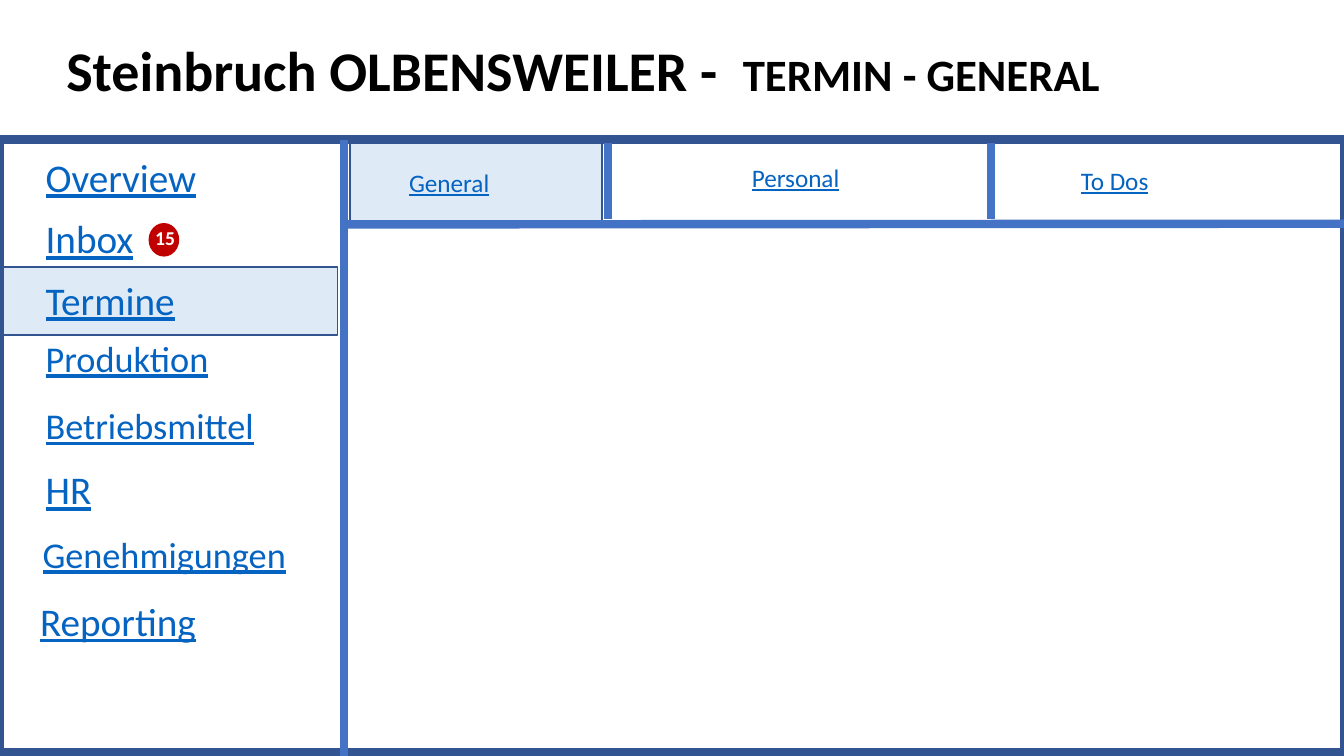
from lxml.etree import SubElement
from pptx import Presentation
from pptx.dml.color import RGBColor
from pptx.enum.shapes import MSO_CONNECTOR, MSO_SHAPE
from pptx.enum.text import MSO_ANCHOR
from pptx.oxml.ns import qn
from pptx.util import Pt

WIDTH, HEIGHT = 960, 540
BLUE, NAVY, PALE, RED = "4472C4", "325491", "DEEBF7", "C00000"
LINK, BLACK, WHITE = "0563C1", "000000", "FFFFFF"

TITLE = [("Steinbruch OLBENSWEILER -  ", 40), ("TERMIN - GENERAL", 32)]
BADGE = "15"
# name, left, top, width, height, size, line spacing
MENU = [
    ("Overview", 25.5, 112.3, 142.6, 36, 28, 0.8),
    ("Inbox", 25.5, 156.2, 142.6, 36, 28, 0.8),
    ("Termine", 25.5, 200.2, 142.6, 36, 28, 0.8),
    ("Produktion", 25.5, 242.6, 142.6, 34.6, 25.9, 0.8),
    ("Betriebsmittel", 25.5, 288.3, 170, 38.9, 25.9, 0.9),
    ("HR", 25.5, 335.5, 142.6, 36, 28, 0.8),
    ("Genehmigungen", 23.3, 380.2, 193.7, 60.5, 25.9, 0.9),
    ("Reporting", 21.6, 427, 170, 38.9, 28, 0.9),
]
TABS = [
    ("General", 285.1, 115.9, 480.2, True),
    ("Personal", 529.9, 112.3, 77.8, False),
    ("To Dos", 764.9, 114.5, 63.4, False),
]
DIVIDERS = [
    (245.8, 99.7, 245.8, HEIGHT),
    (434.2, 156.2, 434.2, 102.2),
    (707.8, 156.2, 707.8, 102.2),
    (WIDTH, 159.8, 245.8, 160.3),
]


def color(code):
    return RGBColor.from_string(code)


def add_panel(page, kind, place, fill, line, weight):
    panel = page.shapes.add_shape(kind, *map(Pt, place))
    panel.shadow.inherit = False
    if fill:
        panel.fill.solid()
        panel.fill.fore_color.rgb = color(fill)
    else:
        panel.fill.background()
    panel.line.color.rgb = color(line)
    panel.line.width = Pt(weight)


def add_text(page, place, spans, ink, spacing=1.0, bold=False, link=False,
             wrap=True, anchor=MSO_ANCHOR.TOP):
    box = page.shapes.add_textbox(*map(Pt, place))
    box.text_frame.word_wrap = wrap
    box.text_frame.vertical_anchor = anchor
    para = box.text_frame.paragraphs[0]
    para.line_spacing = spacing
    for words, size in spans:
        span = para.add_run()
        span.text = words
        span.font.name = "Calibri"
        span.font.size = Pt(size)
        span.font.bold = bold
        span.font.underline = link
        span.font.color.rgb = color(ink)


def add_divider(page, ends):
    divider = page.shapes.add_connector(MSO_CONNECTOR.STRAIGHT, *map(Pt, ends))
    divider.line.color.rgb = color(BLUE)
    divider.line.width = Pt(6)
    SubElement(divider._element.spPr, qn("a:effectLst"))


def main():
    """Build the appointments page with its side menu and tabs."""
    deck = Presentation()
    deck.slide_width, deck.slide_height = Pt(WIDTH), Pt(HEIGHT)
    page = deck.slides.add_slide(deck.slide_layouts[6])

    add_panel(page, MSO_SHAPE.RECTANGLE, (-1.4, 190.8, 242.3, 48.4), PALE, NAVY, 1)
    add_text(page, (40.3, 0, 828, 104.4), TITLE, BLACK, 0.9, bold=True,
             anchor=MSO_ANCHOR.MIDDLE)
    add_panel(page, MSO_SHAPE.RECTANGLE, (0, 99.6, WIDTH, 437.6), None, NAVY, 6)

    for name, left, top, width, height, size, spacing in MENU:
        add_text(page, (left, top, width, height), [(name, size)], LINK, spacing,
                 link=True)
    add_panel(page, MSO_SHAPE.OVAL, (106.6, 159.8, 20.9, 23), RED, RED, 1)
    add_text(page, (103.7, 159.8, 32.4, 23), [(BADGE, 14)], WHITE, 0.9, bold=True)

    add_panel(page, MSO_SHAPE.RECTANGLE, (250.1, 102.7, 180, 59.8), PALE, NAVY, 1)
    for name, left, top, width, wrap in TABS:
        add_text(page, (left, top, width, 28.8), [(name, 18)], LINK, link=True,
                 wrap=wrap)
    for ends in DIVIDERS:
        add_divider(page, ends)

    deck.save("out.pptx")


if __name__ == "__main__":
    main()
